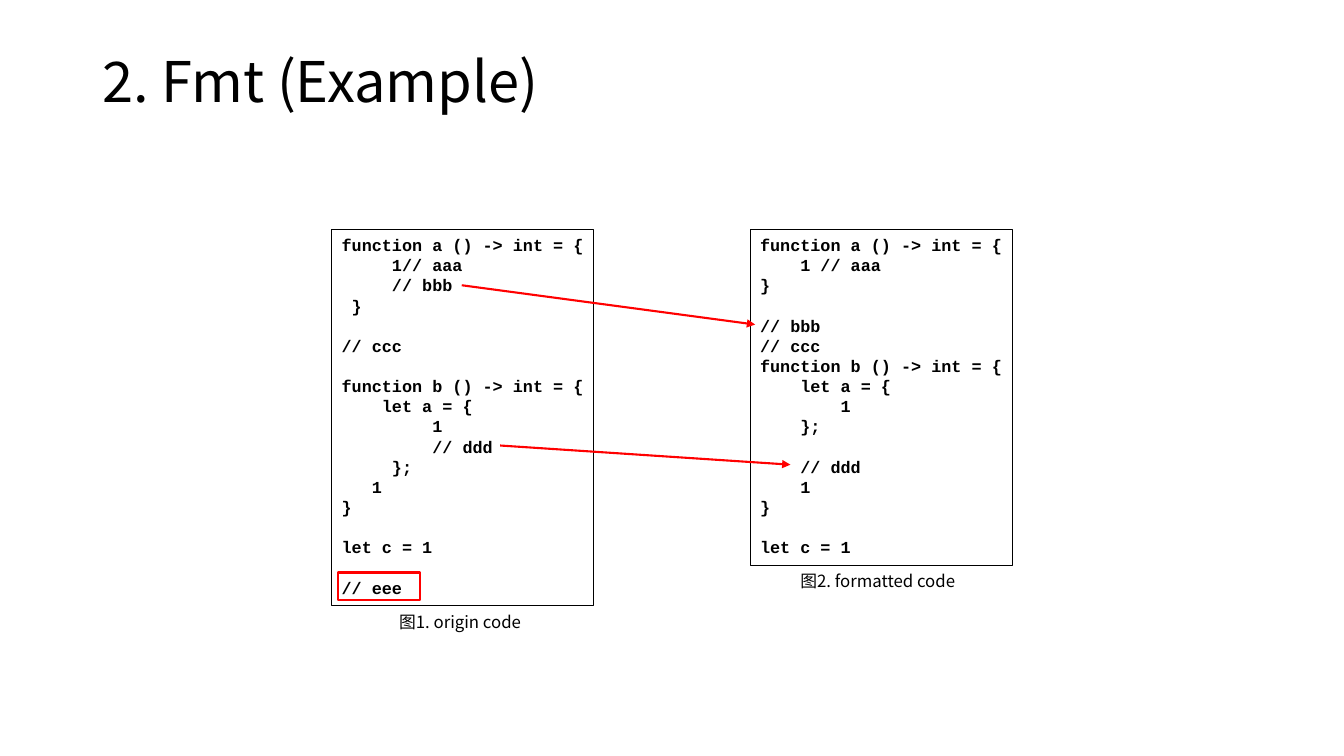
import pptx
import pptx.util
import pptx.dml.color
import pptx.enum.shapes
import pptx.enum.text
import pptx.oxml
import pptx.oxml.ns

PX = 9144  # EMU per px, 100 px to the inch
SANS = "Noto Sans CJK SC"
MONO = "Courier New"
BLACK = "000000"
RED = "FF0000"

ORIGIN_CODE = """\
function a () -> int = {
     1// aaa
     // bbb
 }

// ccc

function b () -> int = {
    let a = {
         1
         // ddd
     };
   1
}

let c = 1

// eee"""

FORMATTED_CODE = """\
function a () -> int = {
    1 // aaa
}

// bbb
// ccc
function b () -> int = {
    let a = {
        1
    };

    // ddd
    1
}

let c = 1"""


def px(*lengths):
    return [pptx.util.Emu(n * PX) for n in lengths]


def color(value):
    return pptx.dml.color.RGBColor.from_string(value)


def write(tf, text, size=12, font=SANS, bold=False, spacing=None, wrap=False,
          anchor=pptx.enum.text.MSO_ANCHOR.TOP):
    """Fill a text frame, one paragraph per line of text."""
    tf.auto_size = pptx.enum.text.MSO_AUTO_SIZE.NONE
    tf.word_wrap = wrap
    tf.vertical_anchor = anchor
    for i, line in enumerate(text.split("\n")):
        p = tf.add_paragraph() if i else tf.paragraphs[0]
        p.alignment = pptx.enum.text.PP_ALIGN.LEFT
        p.line_spacing = spacing
        if not line:
            continue
        r = p.add_run()
        r.text = line
        r.font.size = pptx.util.Pt(size)
        r.font.name = font
        r.font.bold = bold
        r.font.color.rgb = color(BLACK)
        ea = pptx.oxml.parse_xml(
            f'<a:ea {pptx.oxml.ns.nsdecls("a")} typeface="{font}"/>')
        r.font._element.find(pptx.oxml.ns.qn("a:latin")).addnext(ea)


def add_frame(slide, x, y, w, h, line, width):
    """Unfilled outlined rectangle."""
    sp = slide.shapes.add_shape(
        pptx.enum.shapes.MSO_SHAPE.RECTANGLE, *px(x, y, w, h))
    sp.shadow.inherit = False
    sp.fill.background()
    sp.line.color.rgb = color(line)
    sp.line.width = pptx.util.Pt(width)
    return sp


def add_code(slide, x, y, w, h, code):
    sp = add_frame(slide, x, y, w, h, BLACK, 0.75)
    write(sp.text_frame, code, font=MONO, bold=True,
          spacing=pptx.util.Pt(14.4))


def add_caption(slide, x, y, w, h, text):
    write(slide.shapes.add_textbox(*px(x, y, w, h)).text_frame, text)


def add_arrow(slide, x1, y1, x2, y2):
    cxn = slide.shapes.add_connector(
        pptx.enum.shapes.MSO_CONNECTOR.STRAIGHT, *px(x1, y1, x2, y2))
    cxn.line.color.rgb = color(RED)
    cxn.line.width = pptx.util.Pt(1.5)
    ns = pptx.oxml.ns.nsdecls("a")
    cxn.line._get_or_add_ln().append(
        pptx.oxml.parse_xml(f'<a:tailEnd {ns} type="triangle"/>'))
    cxn._element.spPr.append(pptx.oxml.parse_xml(f"<a:effectLst {ns}/>"))


def main():
    prs = pptx.Presentation()
    prs.slide_width, prs.slide_height = px(1333, 750)
    slide = prs.slides.add_slide(prs.slide_layouts[5])

    # Title
    title = slide.shapes.title
    title.left, title.top, title.width, title.height = px(92, 57, 1150, 53)
    write(title.text_frame, "2. Fmt (Example)", size=40, spacing=0.9,
          wrap=True, anchor=pptx.enum.text.MSO_ANCHOR.MIDDLE)

    # Code listings
    add_code(slide, 329, 228, 260, 373, ORIGIN_CODE)
    add_code(slide, 744, 228, 260, 333, FORMATTED_CODE)

    # Moved comments and the dropped one
    add_arrow(slide, 458, 283, 749, 322)
    add_arrow(slide, 496, 442, 784, 461)
    add_frame(slide, 335, 568, 82, 27, RED, 1.5)

    # Captions
    add_caption(slide, 386, 602, 145, 30, "图1. origin code")
    add_caption(slide, 784, 561, 180, 30, "图2. formatted code")

    prs.save("out.pptx")


if __name__ == "__main__":
    main()
